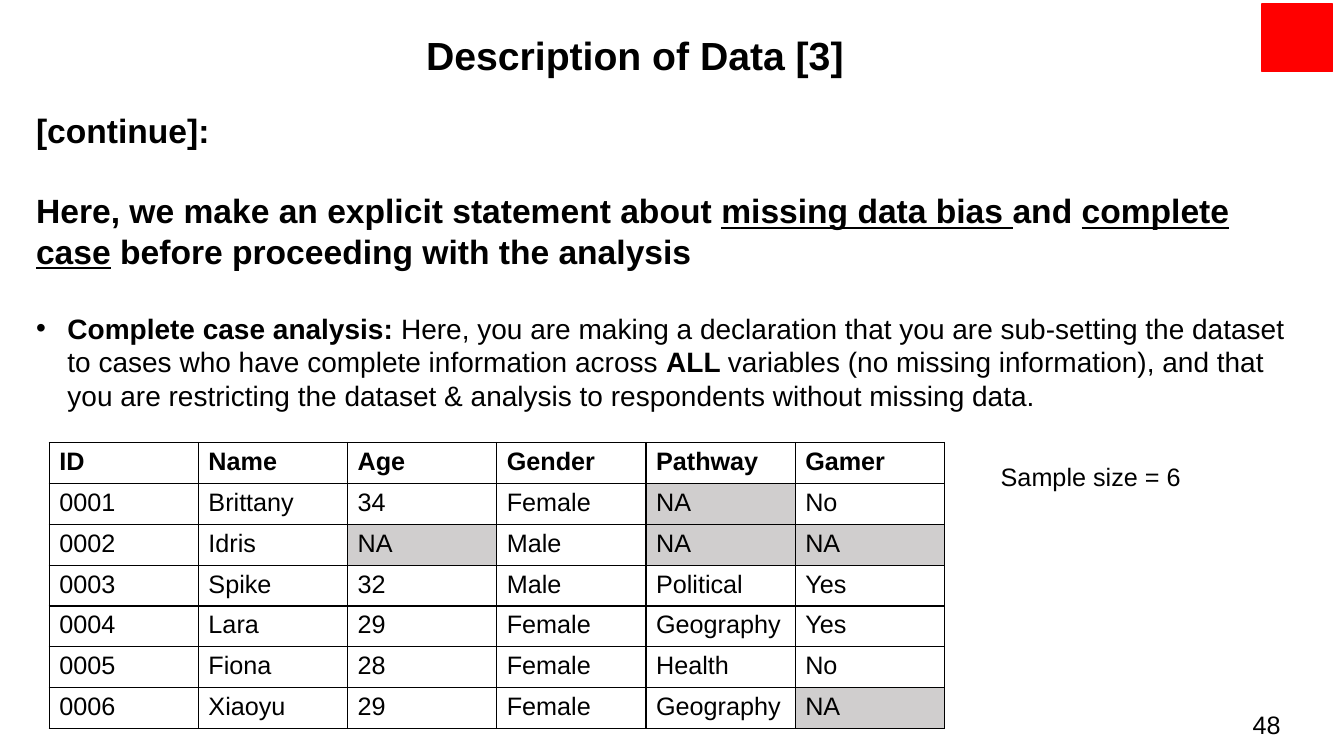
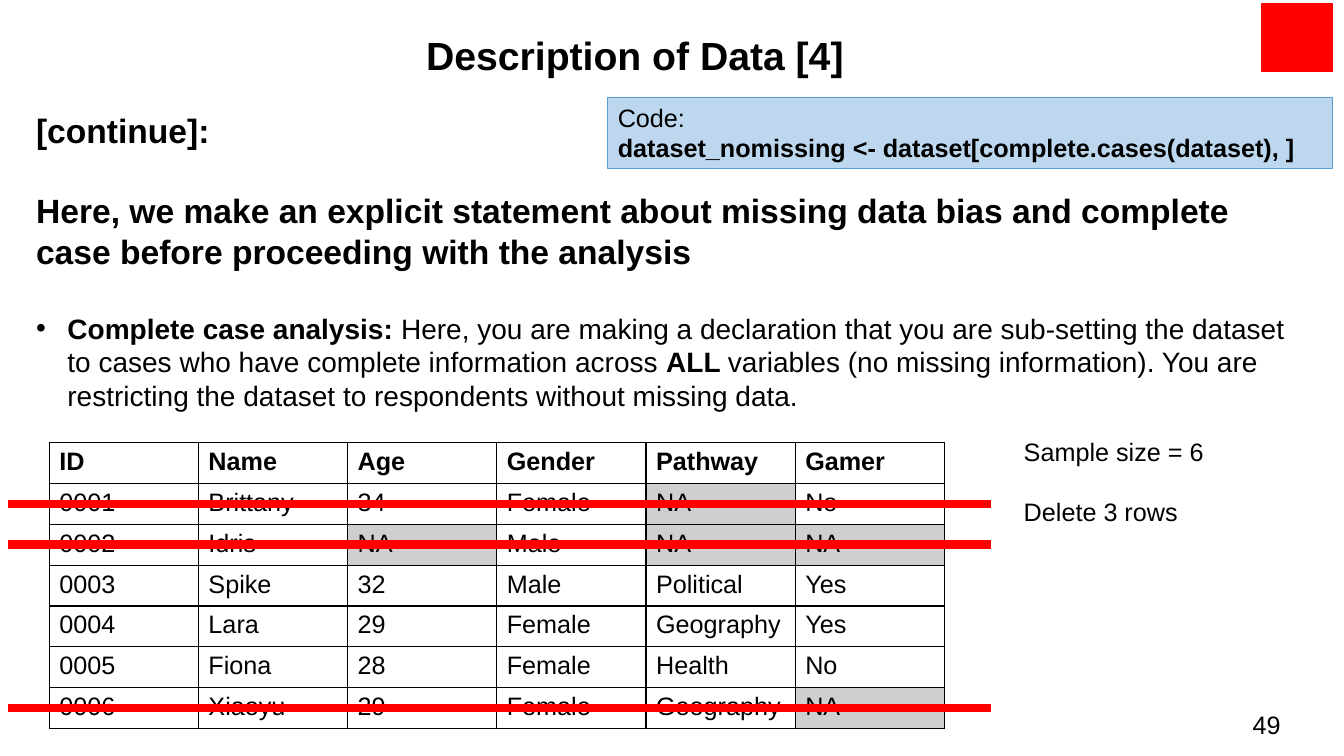
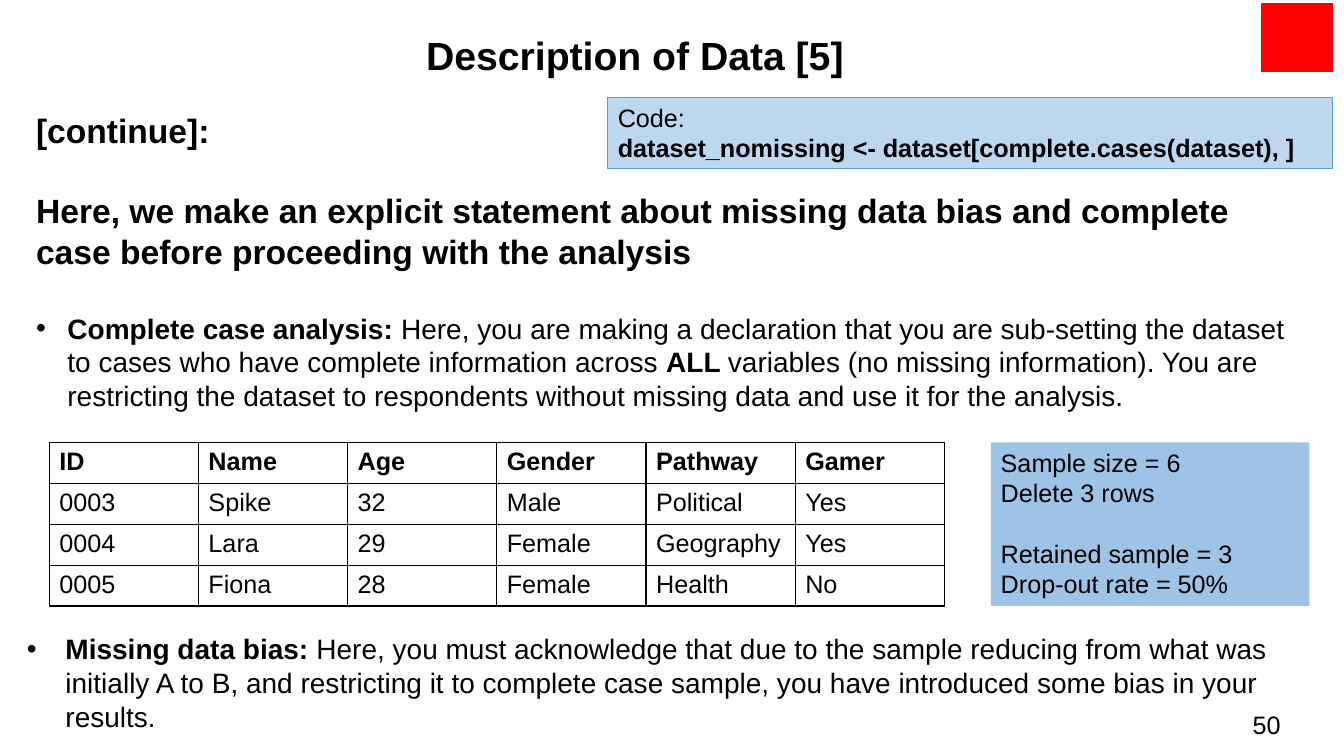
from dataclasses import dataclass

from lxml import etree
from pptx import Presentation
from pptx.dml.color import RGBColor
from pptx.enum.shapes import MSO_CONNECTOR, MSO_SHAPE
from pptx.enum.text import MSO_ANCHOR, PP_ALIGN
from pptx.oxml.ns import qn
from pptx.util import Cm, Pt

STRAIGHT = MSO_CONNECTOR.STRAIGHT
RECTANGLE = MSO_SHAPE.RECTANGLE
TOP, MIDDLE = MSO_ANCHOR.TOP, MSO_ANCHOR.MIDDLE
LEFT, CENTER = PP_ALIGN.LEFT, PP_ALIGN.CENTER

FONT = "Arial"
COLORS = {
    "text": "000000",
    "page": "FFFFFF",
    "accent": "FF0000",
    "missing": "D0CECE",
    "code": "BDD7EE",
    "code_line": "5B9BD5",
    "summary": "9DC3E6",
}
LINE_PITCH = 1.2  # height of one text line relative to its size

# Table grid, in centimetres
TABLE_LEFT, TABLE_TOP = 1.24, 11.15
COLUMN_WIDTH, ROW_HEIGHT = 3.76, 1.03


@dataclass
class Span:
    text: str
    bold: bool = False
    underline: bool = False


@dataclass
class Para:
    spans: list[Span]
    size: int = 18
    lines_before: int = 0
    gap_size: int = 18
    hanging: float = 0  # bullet indent in centimetres


@dataclass
class Area:
    left: float
    top: float
    width: float
    height: float

    def lengths(self) -> tuple:
        return Cm(self.left), Cm(self.top), Cm(self.width), Cm(self.height)


@dataclass
class Page:
    number: int
    title: str
    statement: list[Span]
    ending: str
    rows: list[list[str]]


TITLE_AREA = Area(0.2, 0.74, 31.6, 1.42)
BODY_AREA = Area(0.66, 2.64, 32.56, 7.95)
MARK_AREA = Area(31.8, 0.1, 1.78, 1.7)
CODE_AREA = Area(15.32, 2.46, 18.26, 1.8)
NUMBER_AREA = Area(31.32, 17.7, 1.83, 1.09)
BIAS_AREA = Area(0.43, 15.8, 32.56, 2.82)

HEADER = ["ID", "Name", "Age", "Gender", "Pathway", "Gamer"]
RESPONDENTS = [
    ["0001", "Brittany", "34", "Female", "NA", "No"],
    ["0002", "Idris", "NA", "Male", "NA", "NA"],
    ["0003", "Spike", "32", "Male", "Political", "Yes"],
    ["0004", "Lara", "29", "Female", "Geography", "Yes"],
    ["0005", "Fiona", "28", "Female", "Health", "No"],
    ["0006", "Xiaoyu", "29", "Female", "Geography", "NA"],
]
COMPLETE = [row for row in RESPONDENTS if "NA" not in row]

PLAIN_STATEMENT = [Span(
    "Here, we make an explicit statement about missing data bias and complete "
    "case before proceeding with the analysis", bold=True)]
MARKED_STATEMENT = [
    Span("Here, we make an explicit statement about ", bold=True),
    Span("missing data bias ", bold=True, underline=True),
    Span("and ", bold=True),
    Span("complete case", bold=True, underline=True),
    Span(" before proceeding with the analysis", bold=True),
]
RESTRICTING = ("variables (no missing information). You are restricting the "
               "dataset to respondents without missing data")

PAGES = [
    Page(48, "Description of Data [3]", MARKED_STATEMENT,
         "variables (no missing information), and that you are restricting the "
         "dataset & analysis to respondents without missing data.", RESPONDENTS),
    Page(49, "Description of Data [4]", PLAIN_STATEMENT,
         RESTRICTING + ".", RESPONDENTS),
    Page(50, "Description of Data [5]", PLAIN_STATEMENT,
         RESTRICTING + " and use it for the analysis.", COMPLETE),
]


def color(name: str) -> RGBColor:
    return RGBColor.from_string(COLORS[name])


def line(text: str, size: int = 18, bold: bool = False, lines_before: int = 0) -> Para:
    return Para([Span(text, bold)], size, lines_before)


# Text
def add_bullet(paragraph, hanging: float) -> None:
    properties = paragraph._p.get_or_add_pPr()
    properties.set("marL", str(Cm(hanging)))
    properties.set("indent", str(-Cm(hanging)))
    etree.SubElement(properties, qn("a:buFont")).set("typeface", FONT)
    etree.SubElement(properties, qn("a:buChar")).set("char", "•")


def write(frame, paras: list[Para], align=LEFT, anchor=TOP) -> None:
    frame.word_wrap = True
    frame.vertical_anchor = anchor
    for index, para in enumerate(paras):
        paragraph = frame.paragraphs[0] if index == 0 else frame.add_paragraph()
        paragraph.alignment = align
        if para.lines_before:
            paragraph.space_before = Pt(
                round(para.lines_before * para.gap_size * LINE_PITCH, 1))
        if para.hanging:
            add_bullet(paragraph, para.hanging)
        for span in para.spans:
            run = paragraph.add_run()
            run.text = span.text
            run.font.name = FONT
            run.font.size = Pt(para.size)
            run.font.bold = span.bold
            run.font.underline = span.underline
            run.font.color.rgb = color("text")


def add_text(slide, area: Area, paras: list[Para], align=LEFT, anchor=TOP):
    box = slide.shapes.add_textbox(*area.lengths())
    write(box.text_frame, paras, align, anchor)
    return box


# Shapes
def add_panel(slide, area: Area, fill: str, outline: str = "",
              weight: float = 1, paras: list[Para] | None = None) -> None:
    panel = slide.shapes.add_shape(RECTANGLE, *area.lengths())
    panel.shadow.inherit = False
    panel.fill.solid()
    panel.fill.fore_color.rgb = color(fill)
    if outline:
        panel.line.color.rgb = color(outline)
        panel.line.width = Pt(weight)
    else:
        panel.line.fill.background()
    if paras:
        write(panel.text_frame, paras)


def strike_row(slide, row: int) -> None:
    middle = Cm(TABLE_TOP + (row + 0.5) * ROW_HEIGHT)
    strike = slide.shapes.add_connector(STRAIGHT, Cm(0.2), middle, Cm(24.97), middle)
    strike.line.color.rgb = color("accent")
    strike.line.width = Pt(6)
    etree.SubElement(strike._element.spPr, qn("a:effectLst"))


# Table
def add_borders(cell) -> None:
    properties = cell._tc.get_or_add_tcPr()
    for index, side in enumerate(("a:lnL", "a:lnR", "a:lnT", "a:lnB")):
        border = etree.Element(qn(side), w=str(Pt(1)))
        fill = etree.SubElement(border, qn("a:solidFill"))
        etree.SubElement(fill, qn("a:srgbClr")).set("val", COLORS["text"])
        properties.insert(index, border)


def add_data_table(slide, rows: list[list[str]]) -> None:
    grid = [HEADER, *rows]
    area = Area(TABLE_LEFT, TABLE_TOP, COLUMN_WIDTH * len(HEADER), ROW_HEIGHT * len(grid))
    table = slide.shapes.add_table(len(grid), len(HEADER), *area.lengths()).table
    table.horz_banding = False
    table.first_row = False
    for column in table.columns:
        column.width = Cm(COLUMN_WIDTH)
    for row_index, values in enumerate(grid):
        table.rows[row_index].height = Cm(ROW_HEIGHT)
        for column_index, value in enumerate(values):
            cell = table.cell(row_index, column_index)
            write(cell.text_frame, [line(value, bold=row_index == 0)])
            cell.fill.solid()
            cell.fill.fore_color.rgb = color("missing" if value == "NA" else "page")
            add_borders(cell)


# Parts shared by the slides
def add_page(deck, page: Page):
    slide = deck.slides.add_slide(deck.slide_layouts[6])
    add_text(slide, TITLE_AREA, [line(page.title, 28, bold=True)], CENTER, MIDDLE
             ).text_frame.paragraphs[0].line_spacing = 0.9
    analysis = [
        Span("Complete case analysis:", bold=True),
        Span(" Here, you are making a declaration that you are sub-setting the dataset "
             "to cases who have complete information across "),
        Span("ALL ", bold=True),
        Span(page.ending),
    ]
    add_text(slide, BODY_AREA, [
        line("[continue]:", 24, bold=True),
        Para(page.statement, 24, lines_before=1, gap_size=24),
        Para(analysis, 20, lines_before=1, gap_size=24, hanging=0.79),
    ])
    add_panel(slide, MARK_AREA, "accent", "accent")
    add_data_table(slide, page.rows)
    add_text(slide, NUMBER_AREA, [line(str(page.number))], anchor=MIDDLE)
    return slide


def add_code(slide) -> None:
    add_panel(slide, CODE_AREA, "code", "code_line", 0.75, [
        line("Code:"),
        line("dataset_nomissing <- dataset[complete.cases(dataset), ]", bold=True),
    ])


def main() -> None:
    deck = Presentation()
    deck.slide_width, deck.slide_height = Cm(33.87), Cm(19.05)
    full, deletion, retained = [add_page(deck, page) for page in PAGES]
    sample_size = line("Sample size = 6")

    # Full sample
    add_text(full, Area(24.97, 11.51, 8.03, 1.02), [sample_size])

    # Rows to delete
    add_text(deletion, Area(25.55, 10.87, 8.03, 2.57),
             [sample_size, line("Delete 3 rows", lines_before=1)])
    for row_number, values in enumerate(RESPONDENTS, start=1):
        if "NA" in values:
            strike_row(deletion, row_number)
    add_code(deletion)

    # Retained sample
    add_panel(retained, Area(24.97, TABLE_TOP, 8.03, 4 * ROW_HEIGHT), "summary", paras=[
        sample_size,
        line("Delete 3 rows"),
        line("Retained sample = 3", lines_before=1),
        line("Drop-out rate = 50%"),
    ])
    add_text(retained, BIAS_AREA, [Para([
        Span("Missing data bias:", bold=True),
        Span(" Here, you must acknowledge that due to the sample reducing from what was "
             "initially A to B, and restricting it to complete case sample, you have "
             "introduced some bias in your results."),
    ], 20, hanging=0.97)])
    add_code(retained)

    deck.save("out.pptx")


if __name__ == "__main__":
    main()
